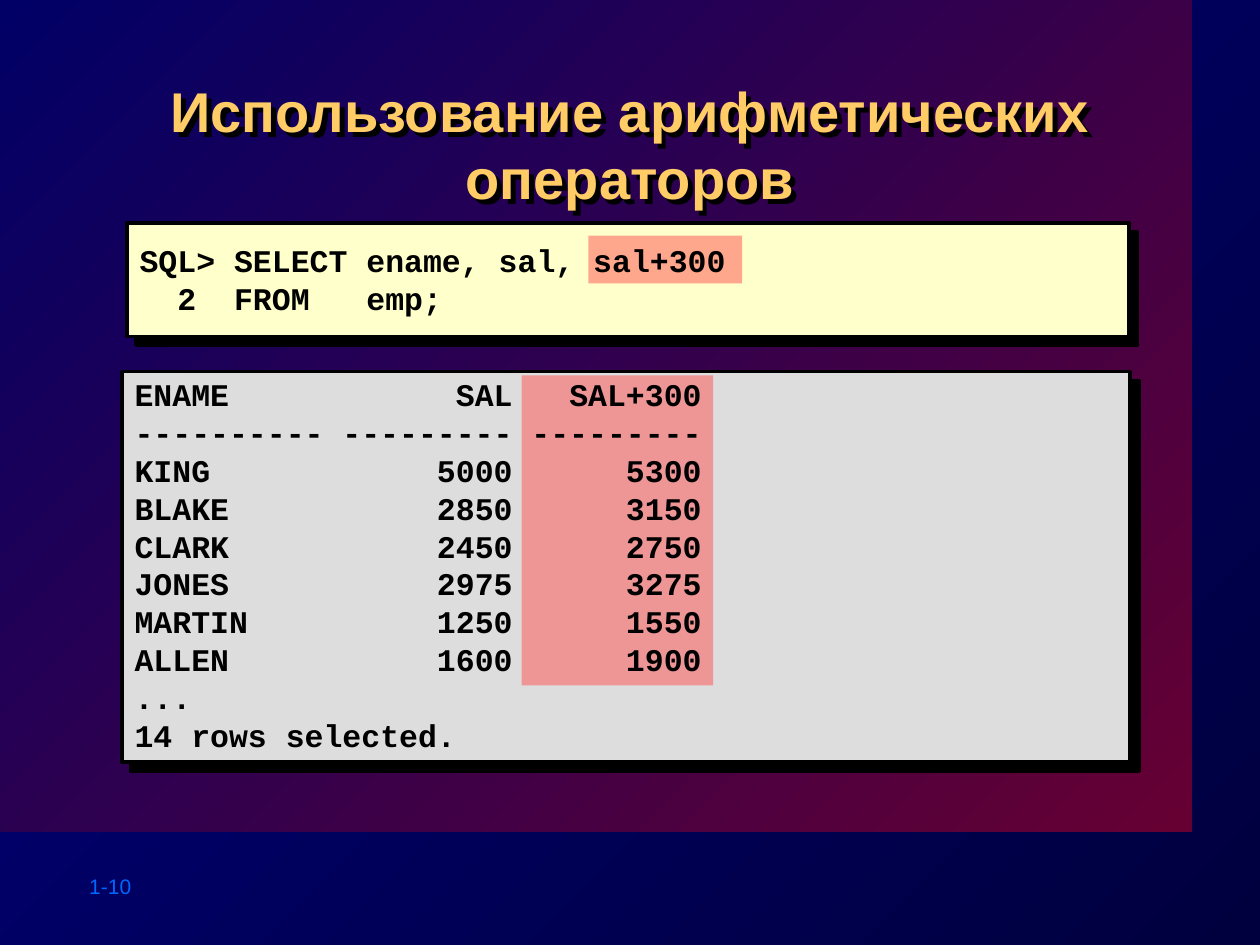
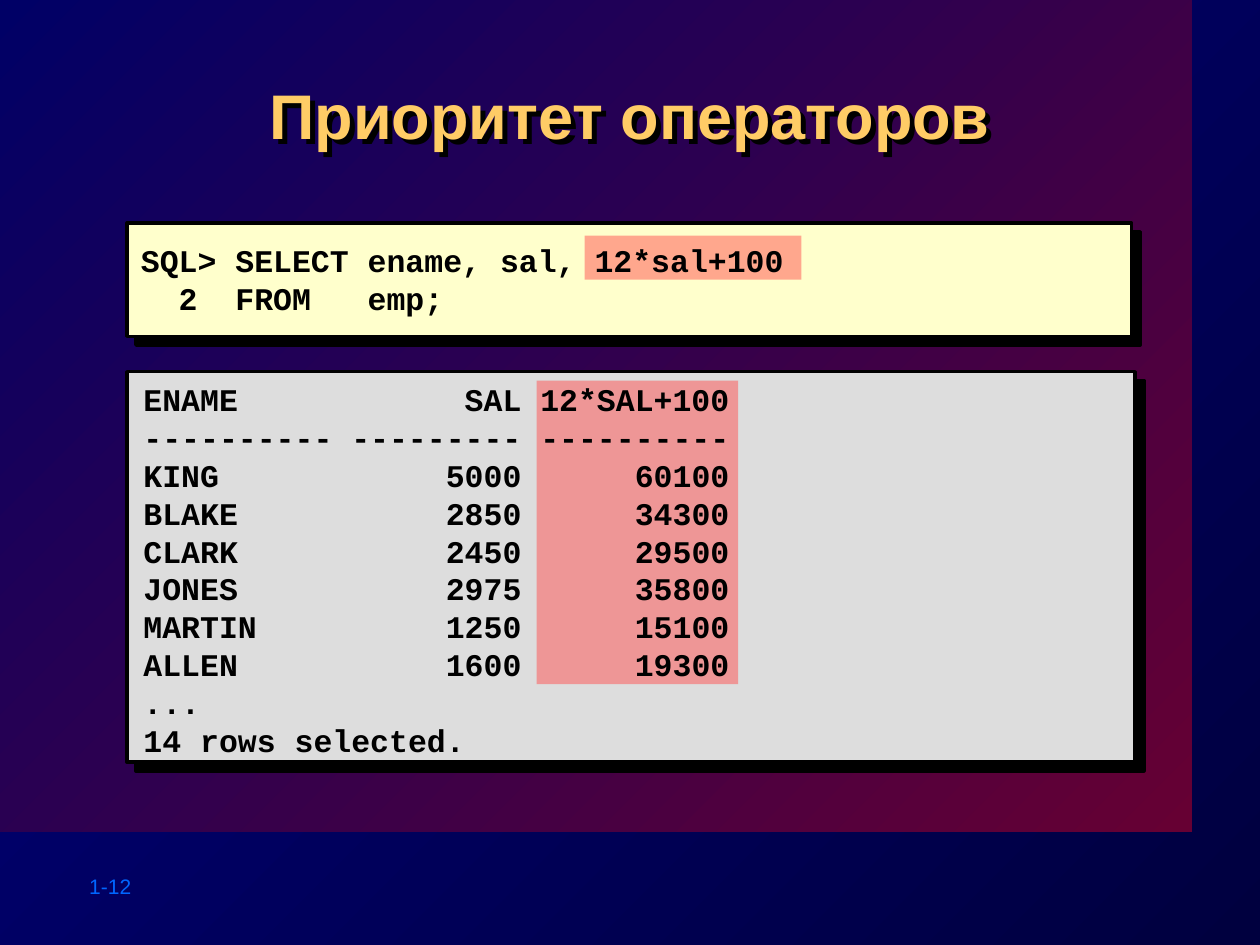
"""Builds two slides on SQL arithmetic: queries above their results."""
from lxml import etree
from pptx import Presentation
from pptx.dml.color import RGBColor
from pptx.enum.shapes import MSO_SHAPE
from pptx.enum.text import MSO_ANCHOR, PP_ALIGN
from pptx.oxml.ns import qn
from pptx.util import Inches, Pt

RECTANGLE = MSO_SHAPE.RECTANGLE
TOP, MIDDLE = MSO_ANCHOR.TOP, MSO_ANCHOR.MIDDLE
LEFT, CENTER = PP_ALIGN.LEFT, PP_ALIGN.CENTER

NIGHT = RGBColor(0x00, 0x00, 0x3F)
NAVY = RGBColor(0x00, 0x00, 0x80)
WINE = RGBColor(0x66, 0x00, 0x33)
INDIGO = RGBColor(0x00, 0x00, 0x66)
GOLD = RGBColor(0xFF, 0xCC, 0x66)
BLUE = RGBColor(0x00, 0x66, 0xFF)
CREAM = RGBColor(0xFF, 0xFF, 0xCC)
GREY = RGBColor(0xDD, 0xDD, 0xDD)
RED = RGBColor(0xFF, 0x50, 0x50)
BLACK = RGBColor(0x00, 0x00, 0x00)

SANS, MONO = "Arial", "Courier New"
CHAR_WIDTH = 0.15
QUERY_TABS = [(2, "l"), (5, "l"), (12, "l")]
FROM_LINE = "\t2\tFROM\temp;"

EMPLOYEES = [("KING", 5000), ("BLAKE", 2850), ("CLARK", 2450),
             ("JONES", 2975), ("MARTIN", 1250), ("ALLEN", 1600)]

SLIDES = [
    {
        "number": "1-10",
        "title": "Использование арифметических операторов", "title_size": 32,
        "expression": "sal+300", "column_width": 9,
        "values": [5300, 3150, 2750, 3275, 1550, 1900],
        "query_panel": (1.01, 1.77, 7.95, 0.9),
        "result_panel": (0.97, 2.95, 8, 3.1),
        "highlights": [(4.67, 1.87, 1.22, 0.38), (4.14, 2.98, 1.52, 2.46)],
        "query_text": (1.01, 1.75, 7.97, 0.93),
        "result_text": (0.97, 2.93, 8.03, 3.1),
    },
    {
        "number": "1-12",
        "title": "Приоритет операторов", "title_size": 36,
        "expression": "12*sal+100", "column_width": 10,
        "values": [60100, 34300, 29500, 35800, 15100, 19300],
        "query_panel": (1.01, 1.77, 7.97, 0.9),
        "result_panel": (1.01, 2.95, 8, 3.1),
        "highlights": [(4.64, 1.87, 1.72, 0.35), (4.26, 3.02, 1.6, 2.41)],
        "query_text": (1.02, 1.75, 8, 0.93),
        "result_text": (1.04, 2.97, 7.97, 3.1),
    },
]


def set_gradient(fill, start, end):
    fill.gradient()
    fill.gradient_angle = 135
    for stop, color in zip(fill.gradient_stops, (start, end)):
        stop.color.rgb = color


def add_shadow(box, distance):
    box.shadow.inherit = False
    effects = box._element.spPr.find(qn("a:effectLst"))
    shadow = etree.SubElement(effects, qn("a:outerShdw"), dist=str(Pt(distance)),
                              dir="2700000", algn="ctr", rotWithShape="0")
    etree.SubElement(shadow, qn("a:srgbClr"), val=str(BLACK))


def add_rectangle(page, area):
    box = page.shapes.add_shape(RECTANGLE, *map(Inches, area))
    box.shadow.inherit = False
    box.line.fill.background()
    return box


def add_panel(page, area, color):
    box = add_rectangle(page, area)
    box.fill.solid()
    box.fill.fore_color.rgb = color
    box.line.color.rgb = BLACK
    box.line.width = Pt(2)
    add_shadow(box, 7.1)


def add_highlight(page, area):
    box = add_rectangle(page, area)
    box.fill.solid()
    box.fill.fore_color.rgb = RED
    color = box._element.spPr.find(qn("a:solidFill"))[0]
    etree.SubElement(color, qn("a:alpha"), val="50000")


def set_tabs(para, tabs):
    tab_list = etree.SubElement(para._p.get_or_add_pPr(), qn("a:tabLst"))
    for chars, align in tabs:
        etree.SubElement(tab_list, qn("a:tab"),
                         pos=str(Inches(chars * CHAR_WIDTH)), algn=align)


def add_text(page, area, lines, size, color, font=SANS, bold=False,
             align=LEFT, anchor=TOP, tabs=()):
    box = page.shapes.add_textbox(*map(Inches, area))
    frame = box.text_frame
    frame.word_wrap = True
    frame.vertical_anchor = anchor
    for index, line in enumerate(lines):
        para = frame.add_paragraph() if index else frame.paragraphs[0]
        para.alignment = align
        if tabs:
            set_tabs(para, tabs)
        span = para.add_run()
        span.text = line
        span.font.size = Pt(size)
        span.font.name = font
        span.font.bold = bold
        span.font.color.rgb = color
    return box


def result_lines(content):
    rows = [("ENAME", "SAL", content["expression"].upper()),
            ("-" * 10, "-" * 9, "-" * content["column_width"])]
    rows += [(name, str(salary), str(value)) for (name, salary), value
             in zip(EMPLOYEES, content["values"])]
    return ["\t".join(row) for row in rows] + ["...", "14 rows selected."]


def add_page(deck, content):
    page = deck.slides.add_slide(deck.slide_layouts[6])
    set_gradient(page.background.fill, NIGHT, NAVY)
    band = add_rectangle(page, (0, 0, 9.46, 6.6))
    set_gradient(band.fill, WINE, INDIGO)
    add_text(page, (0.61, 6.88, 1.11, 0.3), [content["number"]], 12, BLUE)
    add_panel(page, content["query_panel"], CREAM)
    add_panel(page, content["result_panel"], GREY)
    title = add_text(page, (1.01, 0.56, 7.98, 0.96), [content["title"]],
                     content["title_size"], GOLD, bold=True, align=CENTER)
    add_shadow(title, 4)
    for area in content["highlights"]:
        add_highlight(page, area)
    query = [f"SQL> SELECT ename, sal, {content['expression']}", FROM_LINE]
    add_text(page, content["query_text"], query, 18, BLACK, MONO, True,
             anchor=MIDDLE, tabs=QUERY_TABS)
    result_tabs = [(20, "r"), (21 + content["column_width"], "r")]
    add_text(page, content["result_text"], result_lines(content), 18, BLACK,
             MONO, True, tabs=result_tabs)


def main():
    deck = Presentation()
    deck.slide_width, deck.slide_height = Inches(10), Inches(7.5)
    for content in SLIDES:
        add_page(deck, content)
    deck.save("out.pptx")


if __name__ == "__main__":
    main()
